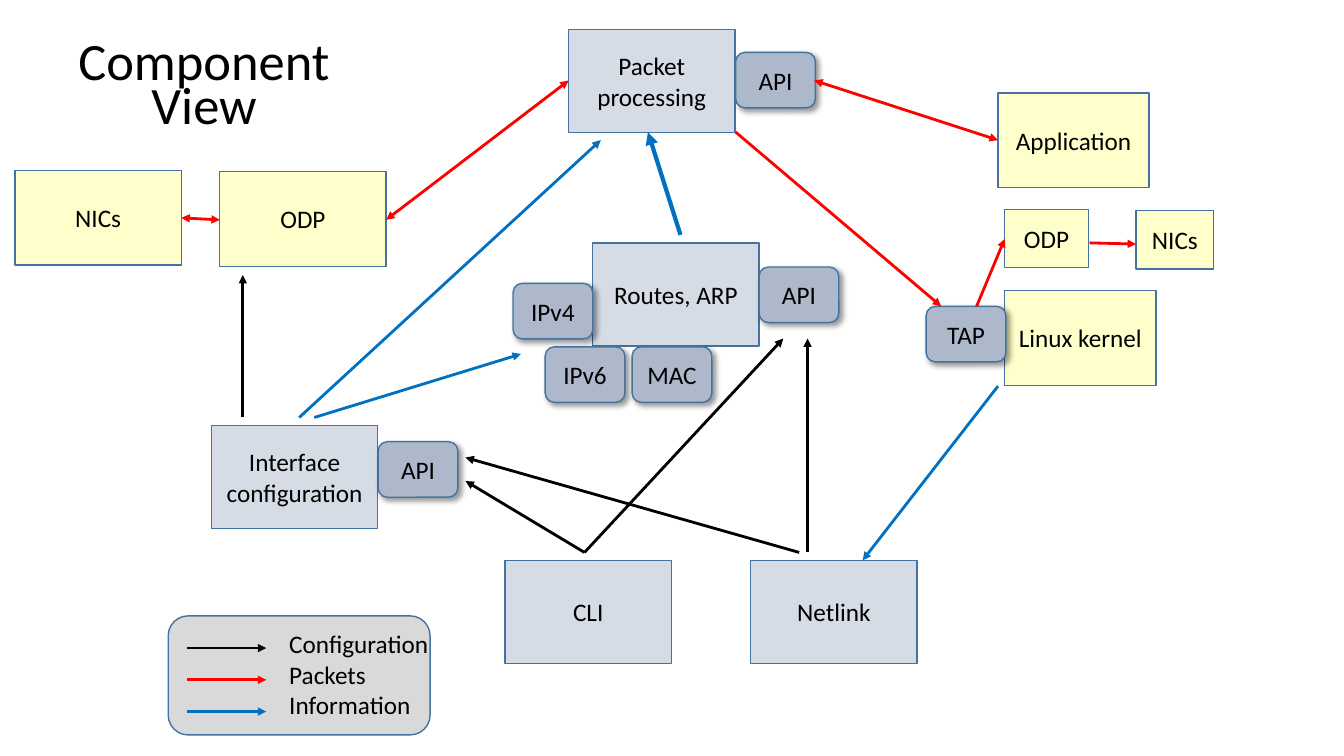
from lxml.etree import SubElement
from pptx import Presentation
from pptx.dml.color import RGBColor
from pptx.enum.shapes import MSO_CONNECTOR, MSO_SHAPE
from pptx.enum.text import MSO_ANCHOR, MSO_AUTO_SIZE, PP_ALIGN
from pptx.oxml.ns import qn
from pptx.util import Cm, Pt

YELLOW, PALE, STEEL, GREY = "FFFFCC", "D6DCE5", "ADB9CA", "D9D9D9"
CONFIGURATION, PACKETS, INFORMATION = "000000", "FF0000", "0070C0"


def color(code):
    return RGBColor.from_string(code)


class Diagram:
    font, ink, outline, size = "Calibri", "000000", "43739E", 18

    def __init__(self, slide):
        self.slide = slide

    def add_span(self, para, text, size=None):
        span = para.add_run()
        span.text = text
        span.font.name = self.font
        span.font.size = Pt(size or self.size)
        span.font.color.rgb = color(self.ink)

    def title(self, lines, left, top, width, height, size):
        box = self.slide.shapes.title
        box.left, box.top = Cm(left), Cm(top)
        box.width, box.height = Cm(width), Cm(height)
        frame = box.text_frame
        frame.word_wrap = True
        frame.auto_size = MSO_AUTO_SIZE.NONE
        frame.vertical_anchor = MSO_ANCHOR.BOTTOM
        para = frame.paragraphs[0]
        para.alignment = PP_ALIGN.CENTER
        para.line_spacing = 0.7
        for index, line in enumerate(lines):
            if index:
                para.add_line_break()
            self.add_span(para, line, size)

    def box(self, text, left, top, width, height, fill, kind=MSO_SHAPE.RECTANGLE):
        box = self.slide.shapes.add_shape(kind, Cm(left), Cm(top), Cm(width), Cm(height))
        box.shadow.inherit = False
        box.fill.solid()
        box.fill.fore_color.rgb = color(fill)
        box.line.color.rgb = color(self.outline)
        box.line.width = Pt(1)
        if text:
            frame = box.text_frame
            frame.word_wrap = True
            frame.vertical_anchor = MSO_ANCHOR.MIDDLE
            para = frame.paragraphs[0]
            para.alignment = PP_ALIGN.CENTER
            self.add_span(para, text)
        return box

    def badge(self, text, left, top):
        badge = self.box(text, left, top, 2.01, 1.4, STEEL, MSO_SHAPE.ROUNDED_RECTANGLE)
        effects = badge._element.spPr.find(qn("a:effectLst"))
        shadow = SubElement(effects, qn("a:outerShdw"), blurRad=str(Pt(4)),
                            dist=str(Pt(3)), dir="2700000", algn="tl", rotWithShape="0")
        black = SubElement(shadow, qn("a:srgbClr"), val="000000")
        SubElement(black, qn("a:alpha"), val="40000")

    def arrow(self, start, end, code, both=False, width=2):
        arrow = self.slide.shapes.add_connector(
            MSO_CONNECTOR.STRAIGHT, *map(Cm, start), *map(Cm, end))
        arrow.line.color.rgb = color(code)
        arrow.line.width = Pt(width)
        line = arrow._element.spPr.find(qn("a:ln"))
        for end_name in ("headEnd", "tailEnd") if both else ("tailEnd",):
            SubElement(line, qn("a:" + end_name), type="triangle")
        SubElement(arrow._element.spPr, qn("a:effectLst"))

    def text(self, lines, left, top, width, height):
        box = self.slide.shapes.add_textbox(Cm(left), Cm(top), Cm(width), Cm(height))
        frame = box.text_frame
        frame.word_wrap = True
        for index, line in enumerate(lines):
            para = frame.add_paragraph() if index else frame.paragraphs[0]
            self.add_span(para, line)


deck = Presentation()
deck.slide_width, deck.slide_height = Cm(33.87), Cm(19.05)
page = Diagram(deck.slides.add_slide(deck.slide_layouts[5]))
page.title(["Component", "View"], 1.6, 0.76, 7.09, 2.72, 37.5)

# External parts
for name, left, top, width, height in [
    ("NICs", 0.38, 4.29, 4.19, 2.39),
    ("ODP", 5.54, 4.32, 4.19, 2.39),
    ("Application", 25.15, 2.34, 3.81, 2.39),
    ("Linux kernel", 25.32, 7.32, 3.81, 2.39),
    ("ODP", 25.32, 5.28, 2.11, 1.47),
    ("NICs", 28.63, 5.31, 1.96, 1.47),
]:
    page.box(name, left, top, width, height, YELLOW)

# Components
for name, left, top in [
    ("Packet processing", 14.33, 0.74),
    ("Routes, ARP", 14.94, 6.12),
    ("Interface configuration", 5.33, 10.72),
    ("CLI", 12.73, 14.12),
    ("Netlink", 18.92, 14.12),
]:
    page.box(name, left, top, 4.19, 2.6, PALE)

# Interfaces attached to the components
for name, left, top in [
    ("API", 18.54, 1.32),
    ("API", 19.13, 6.73),
    ("API", 9.53, 11.13),
    ("IPv4", 12.93, 7.14),
    ("IPv6", 13.74, 8.74),
    ("MAC", 15.93, 8.74),
    ("TAP", 23.34, 7.72),
]:
    page.badge(name, left, top)

# Packet flow
for start, end, both in [
    ((4.57, 5.49), (5.54, 5.54), True),
    ((14.33, 2.03), (9.73, 5.54), True),
    ((20.52, 2.03), (25.15, 3.53), True),
    ((18.54, 3.33), (23.72, 7.72), False),
    ((24.61, 7.72), (25.32, 6.02), False),
    ((27.46, 6.12), (28.63, 6.15), False),
]:
    page.arrow(start, end, PACKETS, both)

# Information flow
for start, end, width in [
    ((25.15, 9.73), (21.74, 14.12), 2),
    ((17.15, 5.92), (16.33, 3.33), 3),
    ((7.92, 10.52), (13.13, 8.92), 2),
    ((7.54, 10.52), (15.14, 3.53), 2),
]:
    page.arrow(start, end, INFORMATION, width=width)

# Configuration flow
for start, end in [
    ((6.12, 10.52), (6.12, 6.93)),
    ((14.73, 13.92), (11.73, 12.12)),
    ((20.14, 13.92), (11.73, 11.53)),
    ((14.73, 13.92), (19.74, 8.53)),
    ((20.35, 13.92), (20.35, 8.53)),
]:
    page.arrow(start, end, CONFIGURATION)

# Legend
page.box("", 4.24, 15.52, 6.6, 3, GREY, MSO_SHAPE.ROUNDED_RECTANGLE)
for row, code in enumerate([CONFIGURATION, PACKETS, INFORMATION]):
    middle = 16.33 + 0.8 * row
    page.arrow((4.72, middle), (6.71, middle), code)
page.text(["Configuration", "Packets", "Information"], 7.04, 15.72, 4.29, 2.57)

deck.save("out.pptx")
